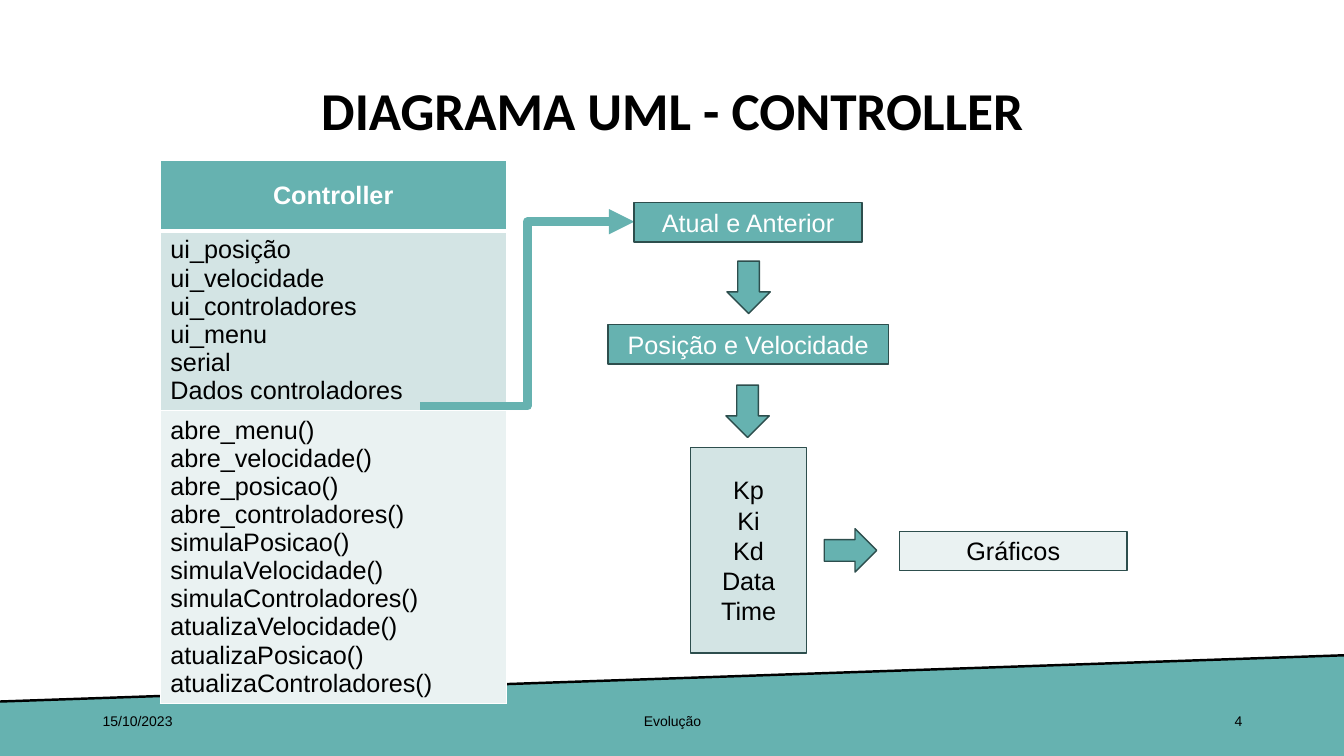
from dataclasses import dataclass

from lxml import etree
from pptx import Presentation
from pptx import util as u
from pptx.dml.color import RGBColor
from pptx.enum import shapes, text
from pptx.oxml import ns, parse_xml

PX = 9144  # EMU in one px, 100 px to the inch
BLACK = RGBColor(0x00, 0x00, 0x00)
WHITE = RGBColor(0xFF, 0xFF, 0xFF)
TEAL = RGBColor(0x66, 0xB2, 0xB0)
DARK_TEAL = RGBColor(0x2D, 0x4E, 0x4D)
LIGHT_TEAL = RGBColor(0xD3, 0xE4, 0xE4)
PALE_TEAL = RGBColor(0xEA, 0xF2, 0xF2)
LEFT, CENTER, RIGHT = text.PP_ALIGN.LEFT, text.PP_ALIGN.CENTER, text.PP_ALIGN.RIGHT
MIDDLE = text.MSO_ANCHOR.MIDDLE
RECTANGLE = shapes.MSO_SHAPE.RECTANGLE
DOWN_ARROW = shapes.MSO_SHAPE.DOWN_ARROW
TABLE_LINE_HEIGHT = u.Pt(20.1)  # keeps every table row at its set height


@dataclass(frozen=True)
class Block:
    left: int
    top: int
    width: int
    height: int
    fill: RGBColor = TEAL
    words: str = ""
    color: RGBColor = WHITE
    kind: int = RECTANGLE
    rotation: int = 0


@dataclass(frozen=True)
class Footer:
    words: str
    left: int
    width: int
    alignment: int


@dataclass(frozen=True)
class Section:
    words: str
    height: int
    fill: RGBColor
    color: RGBColor = BLACK
    bold: bool = False
    alignment: int = LEFT
    top_border: int = 1
    bottom_border: int = 1


BLOCKS = [
    Block(629, 201, 226, 39, words="Atual e Anterior"),
    Block(603, 322, 278, 39, words="Posição e Velocidade"),
    Block(721, 259, 43, 52, kind=DOWN_ARROW),
    Block(685, 444, 115, 204, LIGHT_TEAL, "Kp\nKi\nKd\nData\nTime", BLACK),
    Block(822, 520, 43, 52, kind=DOWN_ARROW, rotation=270),
    Block(892, 527, 226, 39, PALE_TEAL, "Gráficos", BLACK),
    Block(720, 382, 43, 52, kind=DOWN_ARROW),
]
FOOTERS = [
    Footer("15/10/2023", 92, 300, LEFT),
    Footer("Evolução", 442, 450, CENTER),
    Footer("4", 942, 300, RIGHT),
]
ATTRIBUTES = "ui_posição\vui_velocidade\nui_controladores\nui_menu\nserial\nDados controladores"
METHODS = [
    "abre_menu", "abre_velocidade", "abre_posicao", "abre_controladores",
    "simulaPosicao", "simulaVelocidade", "simulaControladores",
    "atualizaVelocidade", "atualizaPosicao", "atualizaControladores",
]
SECTIONS = [
    Section("Controller", 70, TEAL, WHITE, True, CENTER, bottom_border=3),
    Section(ATTRIBUTES, 178, LIGHT_TEAL, top_border=3),
    Section("\n".join(f"{name}()" for name in METHODS), 291, PALE_TEAL),
]


def px(*lengths: int) -> list[int]:
    return [length * PX for length in lengths]


def write(frame, words: str, color: RGBColor, size: float, alignment: int,
          bold: bool = False, name: str = "Arial",
          spacing: float | u.Length = 1.0) -> None:
    frame.text = words
    frame.word_wrap = True
    font_format = {"name": name, "size": u.Pt(size), "bold": bold}
    for paragraph in frame.paragraphs:
        paragraph.alignment = alignment
        paragraph.line_spacing = spacing
        for run in paragraph.runs:
            for attribute, value in font_format.items():
                setattr(run.font, attribute, value)
            run.font.color.rgb = color


def add_line(slide, kind: int, ends: tuple, color: RGBColor, width: float):
    line = slide.shapes.add_connector(kind, *px(*ends))
    line.line.color.rgb = color
    line.line.width = u.Pt(width)
    etree.SubElement(line._element.spPr, ns.qn("a:effectLst"))
    return line


def add_band(slide) -> None:
    builder = slide.shapes.build_freeform(-1, 696, scale=PX)
    builder.add_line_segments([(1335, 650), (1335, 750), (0, 753)], close=True)
    band = builder.convert_to_shape()
    band.shadow.inherit = False
    band.fill.solid()
    band.fill.fore_color.rgb = TEAL
    band.line.fill.background()
    add_line(slide, shapes.MSO_CONNECTOR.STRAIGHT, (1335, 650, -1, 696), BLACK, 1.75)


def add_title(slide) -> None:
    title = slide.shapes.title
    title.left, title.top, title.width, title.height = px(92, 40, 1150, 145)
    title.text_frame.vertical_anchor = MIDDLE
    write(title.text_frame, "DIAGRAMA UML - CONTROLLER", BLACK, 38, CENTER,
          True, "Calibri", 0.9)


def add_footer(slide, footer: Footer) -> None:
    box = slide.shapes.add_textbox(*px(footer.left, 695, footer.width, 40))
    box.text_frame.vertical_anchor = MIDDLE
    write(box.text_frame, footer.words, BLACK, 10, footer.alignment)


def add_borders(cell, section: Section) -> None:
    widths = {"L": 1, "R": 1, "T": section.top_border, "B": section.bottom_border}
    for side, width in widths.items():
        cell._tc.get_or_add_tcPr().append(parse_xml(
            f'<a:ln{side} {ns.nsdecls("a")} w="{u.Pt(width)}"><a:solidFill>'
            f'<a:srgbClr val="{WHITE}"/></a:solidFill></a:ln{side}>'))


def add_class_table(slide) -> None:
    height = sum(section.height for section in SECTIONS)
    table = slide.shapes.add_table(len(SECTIONS), 1, *px(159, 159, 343, height)).table
    for index, section in enumerate(SECTIONS):
        table.rows[index].height = section.height * PX
        cell = table.cell(index, 0)
        cell.vertical_anchor = MIDDLE
        add_borders(cell, section)
        cell.fill.solid()
        cell.fill.fore_color.rgb = section.fill
        write(cell.text_frame, section.words, section.color, 18,
              section.alignment, section.bold, spacing=TABLE_LINE_HEIGHT)


def add_block(slide, block: Block) -> None:
    shape = slide.shapes.add_shape(
        block.kind, *px(block.left, block.top, block.width, block.height))
    shape.shadow.inherit = False
    shape.rotation = block.rotation
    shape.fill.solid()
    shape.fill.fore_color.rgb = block.fill
    shape.line.color.rgb = DARK_TEAL
    shape.line.width = u.Pt(1)
    if block.words:
        shape.text_frame.vertical_anchor = MIDDLE
        write(shape.text_frame, block.words, block.color, 18, CENTER)


def main() -> None:
    presentation = Presentation()
    presentation.slide_width, presentation.slide_height = px(1333, 750)
    slide = presentation.slides.add_slide(presentation.slide_layouts[5])
    add_band(slide)
    add_title(slide)
    for footer in FOOTERS:
        add_footer(slide, footer)
    add_class_table(slide)
    link = add_line(slide, shapes.MSO_CONNECTOR.ELBOW, (417, 403, 629, 220), TEAL, 6)
    etree.SubElement(link.line._get_or_add_ln(), ns.qn("a:tailEnd"), type="triangle")
    for block in BLOCKS:
        add_block(slide, block)
    presentation.save("out.pptx")


if __name__ == "__main__":
    main()
